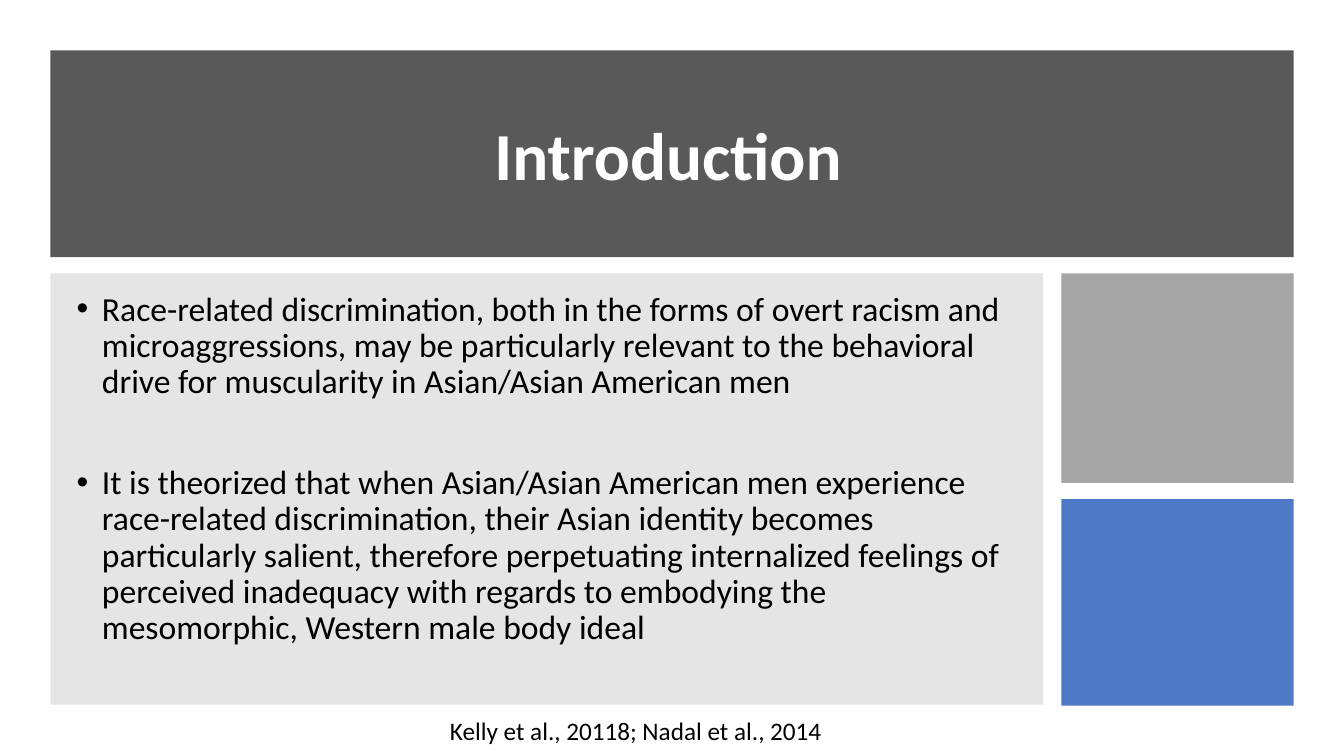
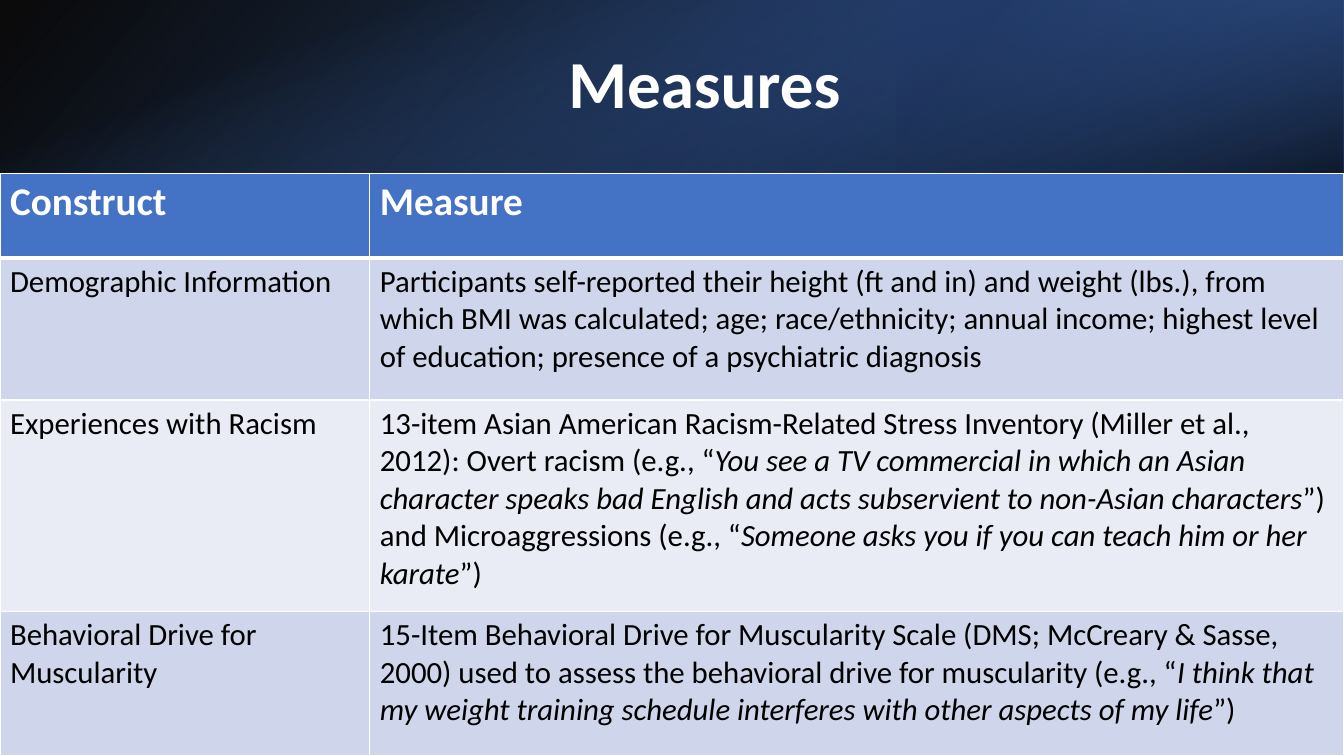
from dataclasses import dataclass
from pptx import Presentation, util as u
from pptx.dml.color import RGBColor
from pptx.enum import shapes, text
from pptx.oxml import parse_xml
from pptx.oxml.ns import nsdecls, qn

INTRO_TITLE = "Introduction"
INTRO_POINTS = [
    "Race-related discrimination, both in the forms of overt racism and microaggressions, "
    "may be particularly relevant to the behavioral drive for muscularity in "
    "Asian/Asian American men",
    "It is theorized that when Asian/Asian American men experience race-related "
    "discrimination, their Asian identity becomes particularly salient, therefore "
    "perpetuating internalized feelings of perceived inadequacy with regards to embodying "
    "the mesomorphic, Western male body ideal",
]
CITATION = "Kelly et al., 20118; Nadal et al., 2014"

MEASURES_TITLE = "Measures"
MEASURES = [
    ("Construct", ["Measure"]),
    ("Demographic Information", [
        "Participants self-reported their height (ft and in) and weight (lbs.), from which "
        "BMI was calculated; age; race/ethnicity; annual income; highest level of education; "
        "presence of a psychiatric diagnosis"]),
    ("Experiences with Racism", [
        "13-item Asian American Racism-Related Stress Inventory (Miller et al., 2012): "
        "Overt racism (e.g., “",
        "You see a TV commercial in which an Asian character speaks bad English and acts "
        "subservient to non-Asian characters",
        "”) and Microaggressions (e.g., “",
        "Someone asks you if you can teach him or her karate",
        "”)"]),
    ("Behavioral Drive for Muscularity", [
        "15-Item Behavioral Drive for Muscularity Scale (DMS; McCreary & Sasse, 2000) used to "
        "assess the behavioral drive for muscularity (e.g., “",
        "I think that my weight training schedule interferes with other aspects of my life",
        "”)"]),
]
COLUMN_WIDTHS = (9.32, 24.55)
ROW_HEIGHTS = (2.13, 3.58, 5.33, 3.64)


@dataclass(frozen=True)
class Theme:
    font: str = "Calibri"
    white: str = "FFFFFF"
    black: str = "000000"
    charcoal: str = "595959"
    panel: str = "808080"
    gray: str = "A5A5A5"
    blue: str = "4472C4"
    deep_blue: str = "2F5597"
    navy: str = "203864"
    bands: tuple = ("CFD5EA", "E9EBF5")
    title: int = 48
    header: int = 28
    body: int = 24
    cell: int = 22
    citation: int = 18


T = Theme()
WIDTH, HEIGHT = 33.87, 19.05
BAND_HEIGHT = 4.37

deck = Presentation()
deck.slide_width, deck.slide_height = u.Cm(WIDTH), u.Cm(HEIGHT)


def cm(*lengths):
    return [u.Cm(length) for length in lengths]


def new_slide():
    return deck.slides.add_slide(deck.slide_layouts[6])


def color_xml(color, opacity):
    return f'<a:srgbClr val="{color}"><a:alpha val="{opacity * 1000}"/></a:srgbClr>'


def add_block(slide, box, fill_xml, rotation=0, flip=False):
    block = slide.shapes.add_shape(shapes.MSO_SHAPE.RECTANGLE, *cm(*box))
    block.shadow.inherit = False
    block.line.fill.background()
    block.fill.background()
    block.rotation = rotation
    properties = block._element.spPr
    properties.replace(properties.find(qn("a:noFill")), parse_xml(fill_xml))
    if flip:
        properties.find(qn("a:xfrm")).set("flipH", "1")


def solid(color, opacity=100):
    return f'<a:solidFill {nsdecls("a")}>{color_xml(color, opacity)}</a:solidFill>'


def gradient(angle, *stops):
    stops_xml = "".join(
        f'<a:gs pos="{position * 1000}">{color_xml(color, opacity)}</a:gs>'
        for position, color, opacity in stops)
    return (f'<a:gradFill {nsdecls("a")} rotWithShape="1"><a:gsLst>{stops_xml}</a:gsLst>'
            f'<a:lin ang="{angle * 60000}" scaled="0"/></a:gradFill>')


def add_run(paragraph, words, size, color=T.black, bold=False, italic=False):
    run = paragraph.add_run()
    run.text = words
    font = run.font
    font.name, font.size, font.bold, font.italic = T.font, u.Pt(size), bold, italic
    font.color.rgb = RGBColor.from_string(color)


def add_frame(slide, box, anchor=text.MSO_ANCHOR.TOP):
    frame = slide.shapes.add_textbox(*cm(*box)).text_frame
    frame.word_wrap = True
    frame.vertical_anchor = anchor
    return frame


def add_centered(frame, words, size, **style):
    paragraph = frame.paragraphs[0]
    paragraph.alignment = text.PP_ALIGN.CENTER
    add_run(paragraph, words, size, **style)
    return paragraph


def add_title(slide, box, words):
    frame = add_frame(slide, box, text.MSO_ANCHOR.MIDDLE)
    add_centered(frame, words, T.title, color=T.white, bold=True).line_spacing = 0.9


def add_points(frame, points, indent=0.64, first_gap=10, next_gap=46):
    for index, point in enumerate(points):
        paragraph = frame.add_paragraph() if index else frame.paragraphs[0]
        paragraph.line_spacing = 0.9
        paragraph.space_before = u.Pt(next_gap if index else first_gap)
        properties = paragraph._p.get_or_add_pPr()
        properties.set("marL", str(u.Cm(indent)))
        properties.set("indent", str(-u.Cm(indent)))
        properties.append(parse_xml(f'<a:buFont {nsdecls("a")} typeface="Arial"/>'))
        properties.append(parse_xml(f'<a:buChar {nsdecls("a")} char="•"/>'))
        add_run(paragraph, point, T.body)


def set_borders(cell, **widths):
    properties = cell._tc.get_or_add_tcPr()
    for index, side in enumerate("LRTB"):
        properties.insert(index, parse_xml(
            f'<a:ln{side} {nsdecls("a")} w="{u.Pt(widths.get(side, 1))}">'
            f'<a:solidFill><a:srgbClr val="{T.white}"/></a:solidFill></a:ln{side}>'))


def build_introduction():
    slide = new_slide()
    margin, gap = 1.27, 0.41
    banner_height, panel_width, panel_height = 5.21, 25.02, 10.87
    content_width = WIDTH - 2 * margin
    panel_top = margin + banner_height + gap
    tile_left = margin + panel_width + 0.46
    tile_width = WIDTH - margin - tile_left
    add_block(slide, (margin, margin, content_width, banner_height), solid(T.charcoal))
    add_title(slide, (2.03, 2.03, 29.62, 3.96), INTRO_TITLE)
    add_block(slide, (margin, panel_top, panel_width, panel_height), solid(T.panel, 20))
    add_points(add_frame(slide, (1.68, 7.24, 24.21, 10.19)), INTRO_POINTS)
    tile_top = panel_top
    for tile_height, fill in ((5.28, solid(T.gray)), (5.2, solid(T.blue, 95))):
        add_block(slide, (tile_left, tile_top, tile_width, tile_height), fill)
        tile_top += tile_height + gap
    add_centered(add_frame(slide, (4.47, 17.91, 23.11, 1.02)), CITATION, T.citation)


def build_measures():
    slide = new_slide()
    glow_width = 11.28
    add_block(slide, (0, 0, WIDTH, BAND_HEIGHT),
              gradient(140, (0, T.black, 96), (100, T.deep_blue, 100)), flip=True)
    add_block(slide, (WIDTH - glow_width, 0, glow_width, BAND_HEIGHT),
              gradient(320, (19, T.navy, 68), (100, T.blue, 79)), rotation=180, flip=True)
    turned_left = (WIDTH - BAND_HEIGHT) / 2
    add_block(slide, (turned_left, -turned_left, BAND_HEIGHT, WIDTH),
              gradient(340, (23, T.blue, 0), (99, T.black, 74)), rotation=90)
    add_title(slide, (3.81, 0.97, 27.89, 2.44), MEASURES_TITLE)

    measures = slide.shapes.add_table(
        len(MEASURES), len(COLUMN_WIDTHS),
        *cm(0, BAND_HEIGHT, WIDTH, sum(ROW_HEIGHTS))).table
    for column, width in zip(measures.columns, COLUMN_WIDTHS):
        column.width = u.Cm(width)
    for index, (construct, measure) in enumerate(MEASURES):
        measures.rows[index].height = u.Cm(ROW_HEIGHTS[index])
        is_header = index == 0
        fill = T.blue if is_header else T.bands[(index - 1) % 2]
        size, color = (T.header, T.white) if is_header else (T.cell, T.black)
        rule = {0: {"B": 3}, 1: {"T": 3}}.get(index, {})
        for column, parts in enumerate(([construct], measure)):
            cell = measures.cell(index, column)
            cell.fill.solid()
            cell.fill.fore_color.rgb = RGBColor.from_string(fill)
            set_borders(cell, **rule)
            for order, part in enumerate(parts):
                add_run(cell.text_frame.paragraphs[0], part, size, color,
                        bold=is_header, italic=order % 2 == 1)


build_introduction()
build_measures()
deck.save("out.pptx")
